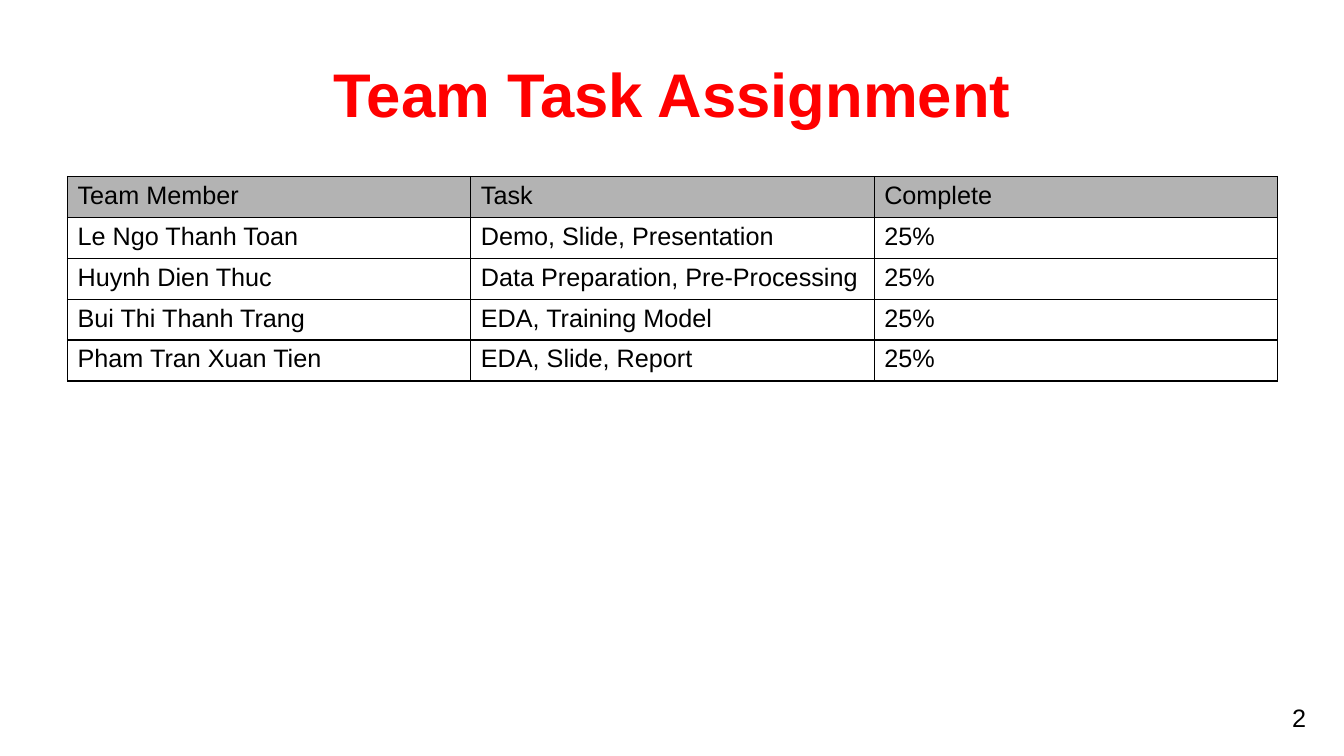
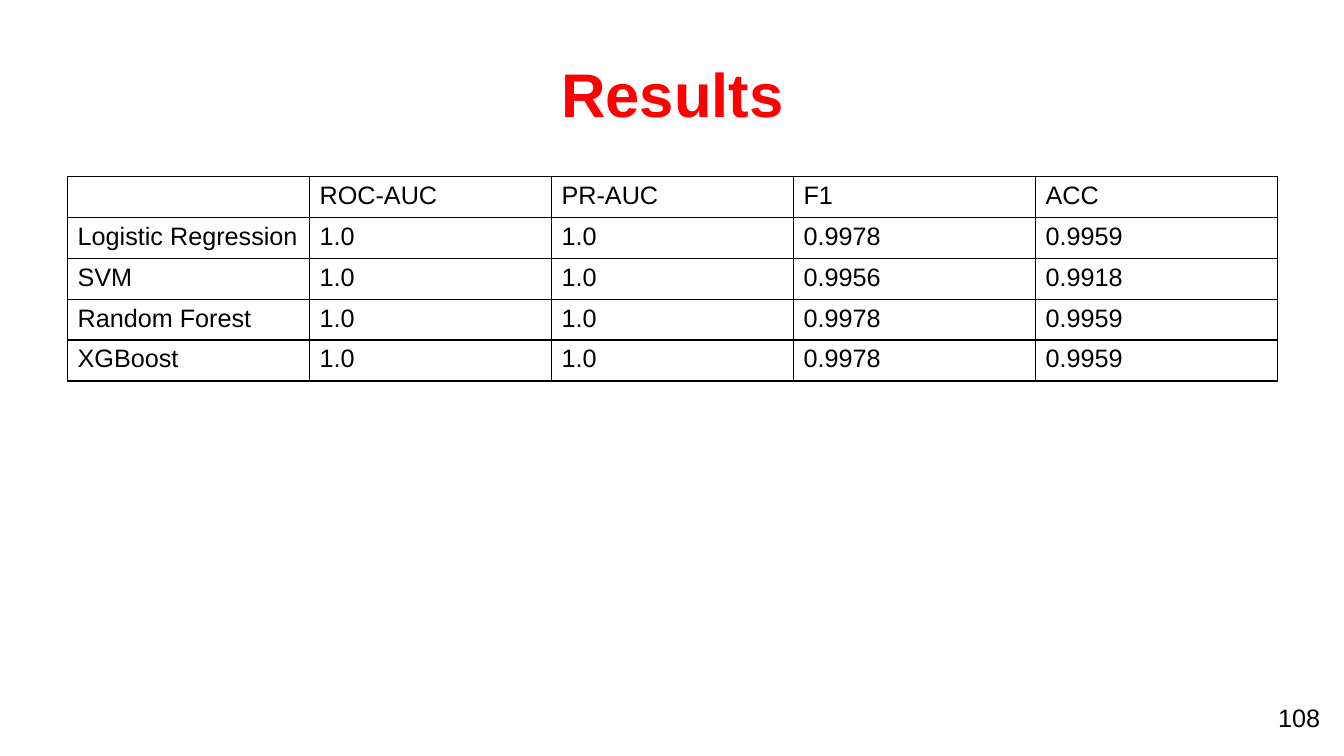
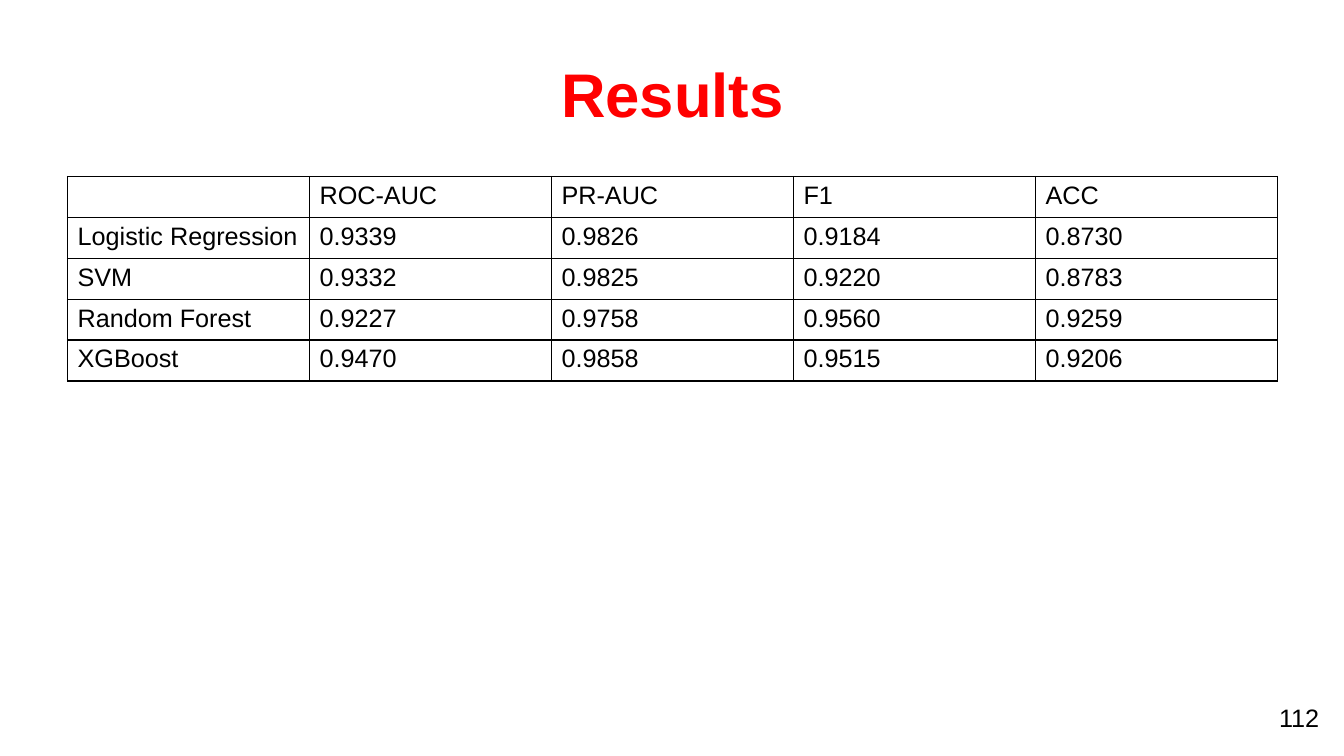
from lxml import etree
from pptx import Presentation
from pptx.dml.color import RGBColor
from pptx.enum import text
from pptx.oxml import ns
from pptx.util import Inches, Pt

COLORS = {"title": "FF0000", "text": "000000", "border": "000000",
          "header": "B3B3B3", "cell": "FFFFFF"}
FONT = "Arial"
TITLE_ONLY = 5

# Boxes are left, top, width, height in inches.
TITLE_BOX = (0.67, 0.3, 12, 1.25)
TABLE_BOX = (0.67, 1.75, 12, 2.03)
NUMBER_BOX = (12.44, 6.92, 0.89, 0.4)

TASKS = [
    ("Team Member", "Task", "Complete"),
    ("Le Ngo Thanh Toan", "Demo, Slide, Presentation", "25%"),
    ("Huynh Dien Thuc", "Data Preparation, Pre-Processing", "25%"),
    ("Bui Thi Thanh Trang", "EDA, Training Model", "25%"),
    ("Pham Tran Xuan Tien", "EDA, Slide, Report", "25%"),
]
METRICS = ("", "ROC-AUC", "PR-AUC", "F1", "ACC")
MODELS = ("Logistic Regression", "SVM", "Random Forest", "XGBoost")
FIRST_SCORES = [
    ("1.0", "1.0", "0.9978", "0.9959"),
    ("1.0", "1.0", "0.9956", "0.9918"),
    ("1.0", "1.0", "0.9978", "0.9959"),
    ("1.0", "1.0", "0.9978", "0.9959"),
]
SECOND_SCORES = [
    ("0.9339", "0.9826", "0.9184", "0.8730"),
    ("0.9332", "0.9825", "0.9220", "0.8783"),
    ("0.9227", "0.9758", "0.9560", "0.9259"),
    ("0.9470", "0.9858", "0.9515", "0.9206"),
]


def score_rows(scores):
    """Put the metric names above and the model names beside the scores."""
    return [METRICS] + [(model, *row) for model, row in zip(MODELS, scores)]


def write(text_frame, content, size=18, color="text", bold=False, align=None):
    text_frame.text = content
    paragraph = text_frame.paragraphs[0]
    paragraph.alignment = align
    for font in [paragraph.font] + [run.font for run in paragraph.runs]:
        font.name = FONT
        font.size = Pt(size)
        font.bold = bold
        font.color.rgb = RGBColor.from_string(COLORS[color])


def add_title(slide, box, content):
    title = slide.shapes.title
    title.left, title.top, title.width, title.height = map(Inches, box)
    title.text_frame.vertical_anchor = text.MSO_ANCHOR.MIDDLE
    write(title.text_frame, content, 44, "title", True, text.PP_ALIGN.CENTER)


def add_page_number(slide, box, number):
    text_frame = slide.shapes.add_textbox(*map(Inches, box)).text_frame
    text_frame.word_wrap = True
    write(text_frame, str(number), align=text.PP_ALIGN.CENTER)


def add_borders(cell):
    properties = cell._tc.get_or_add_tcPr()
    for side in ("a:lnL", "a:lnR", "a:lnT", "a:lnB"):
        line = etree.SubElement(properties, ns.qn(side), w=str(Pt(1)))
        fill = etree.SubElement(line, ns.qn("a:solidFill"))
        etree.SubElement(fill, ns.qn("a:srgbClr"), val=COLORS["border"])


def add_grid(slide, box, rows, header_color):
    """Add a bordered table with equal columns and equal rows."""
    frame = slide.shapes.add_table(len(rows), len(rows[0]), *map(Inches, box))
    table = frame.table
    table.first_row = table.horz_banding = False
    for row_index, row in enumerate(rows):
        fill_color = "cell" if row_index else header_color
        for column_index, content in enumerate(row):
            cell = table.cell(row_index, column_index)
            write(cell.text_frame, content)
            add_borders(cell)
            cell.fill.solid()
            cell.fill.fore_color.rgb = RGBColor.from_string(COLORS[fill_color])


def add_table_slide(presentation, title, number, rows, header_color="cell"):
    layout = presentation.slide_layouts[TITLE_ONLY]
    slide = presentation.slides.add_slide(layout)
    add_page_number(slide, NUMBER_BOX, number)
    add_title(slide, TITLE_BOX, title)
    add_grid(slide, TABLE_BOX, rows, header_color)


def main():
    presentation = Presentation()
    presentation.slide_width = Inches(13.33)
    presentation.slide_height = Inches(7.5)
    add_table_slide(presentation, "Team Task Assignment", 2, TASKS, "header")
    add_table_slide(presentation, "Results", 108, score_rows(FIRST_SCORES))
    add_table_slide(presentation, "Results", 112, score_rows(SECOND_SCORES))
    presentation.save("out.pptx")


if __name__ == "__main__":
    main()
